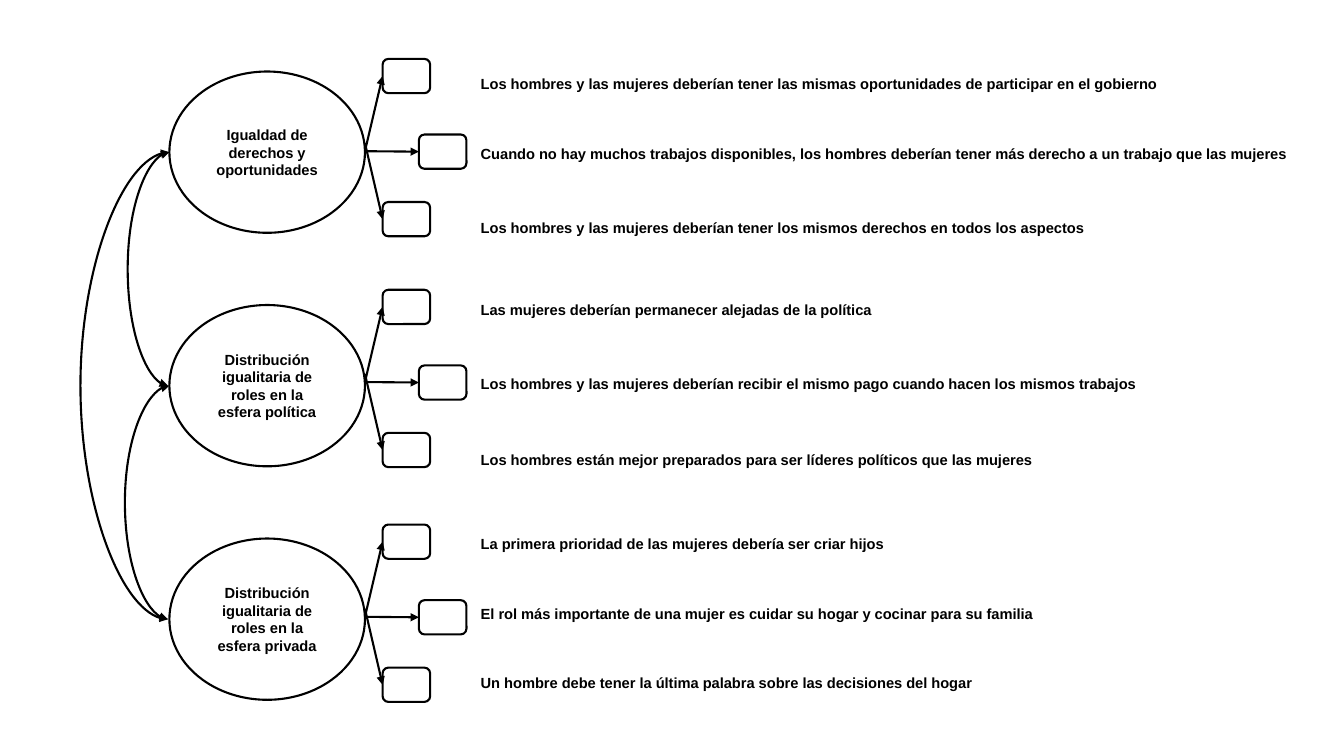
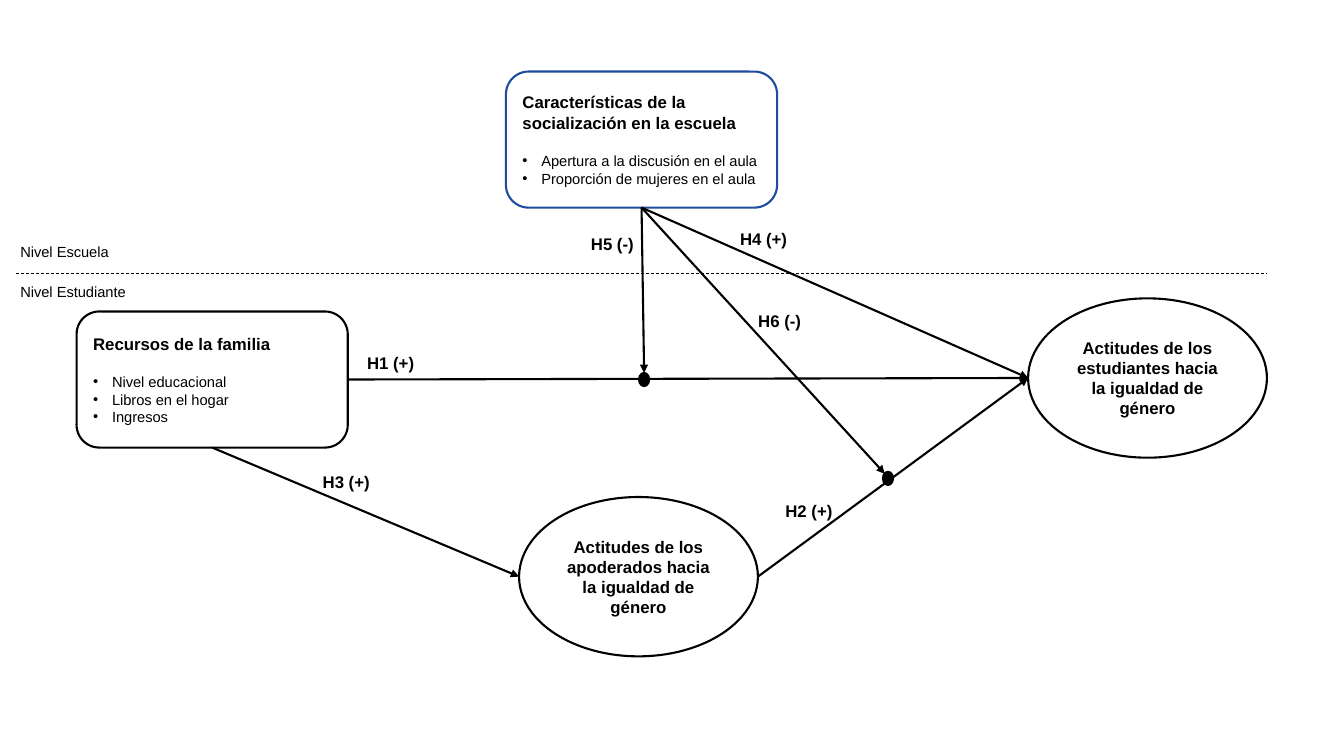
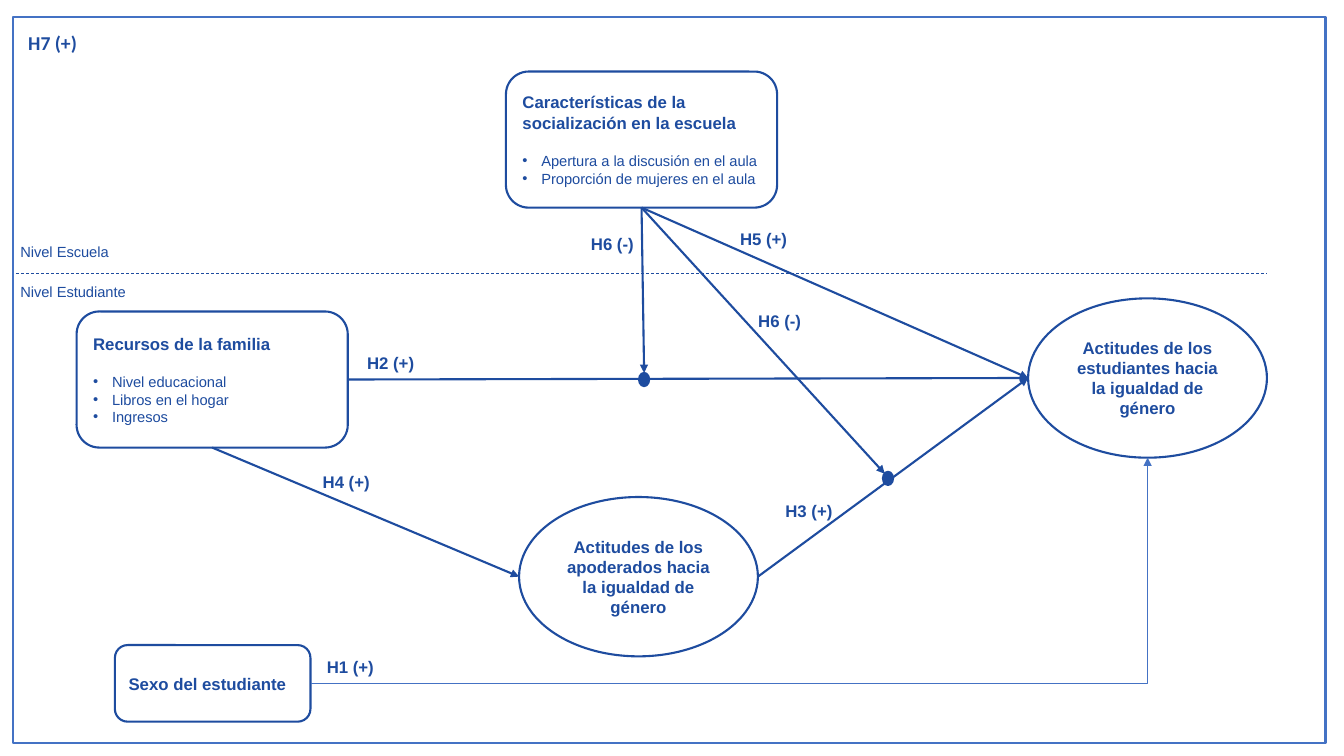
from dataclasses import dataclass
from lxml.etree import SubElement
from pptx import Presentation
from pptx.dml.color import RGBColor
from pptx.enum.dml import MSO_LINE
from pptx.enum.shapes import MSO_CONNECTOR, MSO_SHAPE
from pptx.enum.text import MSO_ANCHOR, PP_ALIGN
from pptx.oxml.ns import qn
from pptx.util import Pt

BLACK, BLUE, SKY, WHITE = "000000", "1E4C9F", "4472C4", "FFFFFF"
FONT = "Arial"
SMALL, LARGE = 10.5, 12
THICK, THIN = 1.5, 0.5
TOP, LEFT, FOOT, RIGHT = range(4)
OVAL, ROUND = MSO_SHAPE.OVAL, MSO_SHAPE.ROUNDED_RECTANGLE


@dataclass(frozen=True)
class Box:
    """Frame of a shape in points."""
    x: float
    y: float
    w: float
    h: float


@dataclass(frozen=True)
class Text:
    """One paragraph and its look."""
    words: str
    size: float = LARGE
    bold: bool = True
    centre: bool = False
    dot: bool = False
    after: float = 0
    font: str = FONT


@dataclass(frozen=True)
class Join:
    """Middle of a side of a shape."""
    shape: object
    side: int


@dataclass(frozen=True)
class Spot:
    """Free point in points."""
    x: float
    y: float


@dataclass(frozen=True)
class Factor:
    """Latent factor with its three statements."""
    name: str
    box_top: float
    grid: Box
    rows: tuple[float, ...]
    items: tuple[str, ...]


FACTORS = (
    Factor("Igualdad de derechos y oportunidades", 42.1,
           Box(338.4, 53.3, 608.4, 119.6), (13.6, 86, 20), (
               "Los hombres y las mujeres deberían tener las mismas oportunidades de participar en el gobierno",
               "Cuando no hay muchos trabajos disponibles, los hombres deberían tener más derecho a un trabajo que las mujeres",
               "Los hombres y las mujeres deberían tener los mismos derechos en todos los aspectos")),
    Factor("Distribución igualitaria de roles en la esfera política", 207,
           Box(338.4, 214.6, 539.3, 121.6), (13.6, 92.4, 15.6), (
               "Las mujeres deberían permanecer alejadas de la política",
               "Los hombres y las mujeres deberían recibir el mismo pago cuando hacen los mismos trabajos",
               "Los hombres están mejor preparados para ser líderes políticos que las mujeres")),
    Factor("Distribución igualitaria de roles en la esfera privada", 374.7,
           Box(338.4, 381.6, 539.3, 113.2), (13.6, 86, 13.6), (
               "La primera prioridad de las mujeres debería ser criar hijos",
               "El rol más importante de una mujer es cuidar su hogar y cocinar para su familia",
               "Un hombre debe tener la última palabra sobre las decisiones del hogar")),
)
TAGS = (Spot(243.4, 239.8), Spot(542.2, 345.6), Spot(211.7, 325.4),
        Spot(509.8, 151.2), Spot(401.8, 154.8), Spot(521.3, 210.2))


def tint(code: str) -> RGBColor:
    """Turn a hex string into a colour."""
    return RGBColor.from_string(code)


def write(frame, texts: tuple[Text, ...], ink: str) -> None:
    """Fill a text frame, one paragraph for each text."""
    for rank, text in enumerate(texts):
        para = frame.add_paragraph() if rank else frame.paragraphs[0]
        para.alignment = PP_ALIGN.CENTER if text.centre else PP_ALIGN.LEFT
        if text.after:
            para.space_after = Pt(text.after)
        if text.dot:
            props = para._p.get_or_add_pPr()
            props.set("marL", str(Pt(13.5)))
            props.set("indent", str(-Pt(13.5)))
            SubElement(props, qn("a:buFont"), typeface=FONT)
            SubElement(props, qn("a:buChar"), char="•")
        run = para.add_run()
        run.text = text.words
        run.font.name, run.font.size = text.font, Pt(text.size)
        run.font.bold = text.bold
        run.font.color.rgb = tint(ink)


def draw(slide, kind: MSO_SHAPE, box: Box, ink: str, texts: tuple[Text, ...] = (),
         edge: str | None = None, fill: str | None = None):
    """Add a preset shape with optional text, edge and fill."""
    shape = slide.shapes.add_shape(kind, Pt(box.x), Pt(box.y), Pt(box.w), Pt(box.h))
    shape.shadow.inherit = False
    if fill:
        shape.fill.solid()
        shape.fill.fore_color.rgb = tint(fill)
    else:
        shape.fill.background()
    if edge:
        shape.line.color.rgb = tint(edge)
        shape.line.width = Pt(THICK)
    else:
        shape.line.fill.background()
    shape.text_frame.word_wrap = True
    shape.text_frame.vertical_anchor = MSO_ANCHOR.MIDDLE
    write(shape.text_frame, texts, ink)
    return shape


def link(slide, start: Join | Spot, end: Join | Spot, ink: str, width: float = THICK,
         kind: MSO_CONNECTOR = MSO_CONNECTOR.STRAIGHT, tips: tuple[str, ...] = ("tailEnd",)):
    """Add a connector and join it to the shapes it meets."""
    spots = [Spot(0, 0) if isinstance(p, Join) else p for p in (start, end)]
    line = slide.shapes.add_connector(kind, *(Pt(v) for p in spots for v in (p.x, p.y)))
    for stop, glue, tag in ((start, line.begin_connect, "a:stCxn"),
                            (end, line.end_connect, "a:endCxn")):
        if isinstance(stop, Join):
            glue(stop.shape, stop.side)
            if stop.shape.auto_shape_type == OVAL:
                next(line.element.iter(qn(tag))).set("idx", str(stop.side * 2))
    line.line.color.rgb = tint(ink)
    line.line.width = Pt(width)
    props = line.element.spPr
    for tip in tips:
        SubElement(props.find(qn("a:ln")), qn(f"a:{tip}"), type="triangle")
    SubElement(props, qn("a:effectLst"))
    return line


def curve(slide, start, end, bulge: float) -> None:
    """Bow a two-headed curve out to the left of two ovals."""
    line = link(slide, Join(start, LEFT), Join(end, LEFT), BLACK,
                kind=MSO_CONNECTOR.CURVE, tips=("headEnd", "tailEnd"))
    line.end_x -= Pt(1)
    guides = next(line.element.iter(qn("a:avLst")))
    SubElement(guides, qn("a:gd"), name="adj1", fmla=f"val {round(bulge * 100000)}")


def table(slide, factor: Factor) -> None:
    """List the statements of a factor."""
    box = factor.grid
    grid = slide.shapes.add_table(len(factor.items), 1, Pt(box.x), Pt(box.y),
                                  Pt(box.w), Pt(box.h)).table
    grid.first_row = grid.horz_banding = False
    for row, high, item in zip(grid.rows, factor.rows, factor.items):
        row.height = Pt(high)
        cell = row.cells[0]
        cell.margin_left = cell.margin_right = Pt(5)
        cell.margin_top = cell.margin_bottom = 0
        cell.vertical_anchor = MSO_ANCHOR.MIDDLE
        write(cell.text_frame, (Text(item, SMALL),), BLACK)
        cell.text_frame.paragraphs[0].line_spacing = 1.07
        props = cell._tc.get_or_add_tcPr()
        for side in "LRTB":
            rule = SubElement(props, qn(f"a:ln{side}"), w=str(Pt(1)))
            SubElement(SubElement(rule, qn("a:solidFill")), qn("a:srgbClr"), val=WHITE)
        cell.fill.background()


def factors(slide) -> None:
    """Draw the three factors, their boxes and statements."""
    ovals = []
    for rank, factor in enumerate(FACTORS):
        oval = draw(slide, OVAL, Box(121, 51.1 + 166.8 * rank, 139.7, 115.2), BLACK,
                    (Text(factor.name, SMALL, centre=True),), BLACK)
        oval.text_frame.margin_left = oval.text_frame.margin_right = Pt(9)
        ovals.append(oval)
        for x, drop, root in ((273.3, 0, 65.9), (299.2, 54, 65.9), (273.3, 102.2, 60.1)):
            box = draw(slide, ROUND, Box(x, factor.box_top + drop, 34, 24.5), BLACK, edge=BLACK)
            link(slide, Spot(260.7, factor.box_top + root), Join(box, LEFT), BLACK)
        table(slide, factor)
    for start, end, bulge in ((0, 2, 64), (0, 1, 30), (1, 2, 32)):
        curve(slide, ovals[start], ovals[end], bulge)


def tag(slide, spot: Spot, words: str, ink: str) -> None:
    """Label a path with its hypothesis."""
    draw(slide, ROUND, Box(spot.x, spot.y, 71.3, 38.2), ink, (Text(words, centre=True),))


def panel(slide, x: float, y: float, ink: str, edge: str, head: str, *items: str):
    """Draw a round box with a heading and bullets."""
    texts = (Text(head, after=13.8), *(Text(i, SMALL, False, dot=True) for i in items))
    return draw(slide, ROUND, Box(x, y, 193.7, 97.2), ink, texts, edge)


def model(slide, ink: str, names: tuple[str, ...]):
    """Draw the path model and return the pupils' oval."""
    pupils, parents = (
        draw(slide, OVAL, Box(x, y, 170.6, 113.8), ink,
             (Text(f"Actitudes de los {who} hacia la igualdad de género", centre=True),), ink)
        for x, y, who in ((734.4, 213.1, "estudiantes"), (370.8, 355, "apoderados")))
    school = panel(slide, 361.4, 51.1, ink, BLUE, "Características de la socialización en la escuela",
                   "Apertura a la discusión en el aula", "Proporción de mujeres en el aula")
    home = panel(slide, 54.7, 222.5, ink, ink, "Recursos de la familia",
                 "Nivel educacional", "Libros en el hogar", "Ingresos")
    knot, _ = (draw(slide, OVAL, Box(x, y, 7.2, 9.4), ink, edge=ink, fill=ink)
               for x, y in ((456.5, 266.4), (630.7, 337)))
    goal, root = Join(pupils, LEFT), Join(school, FOOT)
    for start, end in ((Join(parents, RIGHT), goal), (root, goal), (Join(home, RIGHT), goal),
                       (root, Join(knot, TOP)), (root, Spot(632, 338.4)),
                       (Join(home, FOOT), Join(parents, LEFT))):
        link(slide, start, end, ink)
    for spot, name in zip(TAGS, names):
        tag(slide, spot, name, ink)
    split = link(slide, Spot(11.5, 195.1), Spot(905, 195.1), ink, THIN, tips=())
    split.line.dash_style = MSO_LINE.DASH
    for y, level in ((162.7, "Escuela"), (191.5, "Estudiante")):
        draw(slide, ROUND, Box(5.8, y, 118.1, 33.8), ink, (Text(f"Nivel {level}", SMALL, False),))
    return pupils


def gender(slide, pupils) -> None:
    """Add the pupil's sex, its path and the outer frame."""
    sex = draw(slide, ROUND, Box(82.1, 460.8, 139.7, 54.7), BLUE, (Text("Sexo del estudiante"),), BLUE)
    line = link(slide, Join(sex, RIGHT), Join(pupils, FOOT), SKY, THIN, MSO_CONNECTOR.ELBOW)
    next(line.element.iter(qn("a:prstGeom"))).set("prst", "bentConnector2")
    tag(slide, Spot(214.6, 457.2), "H1 (+)", BLUE)
    draw(slide, MSO_SHAPE.RECTANGLE, Box(9.4, 12.2, 937.4, 518.4), BLUE, edge=SKY)
    note = slide.shapes.add_textbox(Pt(13), Pt(18.7), Pt(49.7), Pt(24.5))
    note.text_frame.word_wrap = False
    write(note.text_frame, (Text("H7 (+)", 14, font="Calibri"),), BLUE)


def main() -> None:
    """Build and save the deck."""
    deck = Presentation()
    deck.slide_width, deck.slide_height = Pt(960), Pt(540)
    first, second, third = (deck.slides.add_slide(deck.slide_layouts[6]) for _ in range(3))
    factors(first)
    model(second, BLACK, ("H1 (+)", "H2 (+)", "H3 (+)", "H4 (+)", "H5 (-)", "H6 (-)"))
    pupils = model(third, BLUE, ("H2 (+)", "H3 (+)", "H4 (+)", "H5 (+)", "H6 (-)", "H6 (-)"))
    gender(third, pupils)
    deck.save("out.pptx")


if __name__ == "__main__":
    main()
